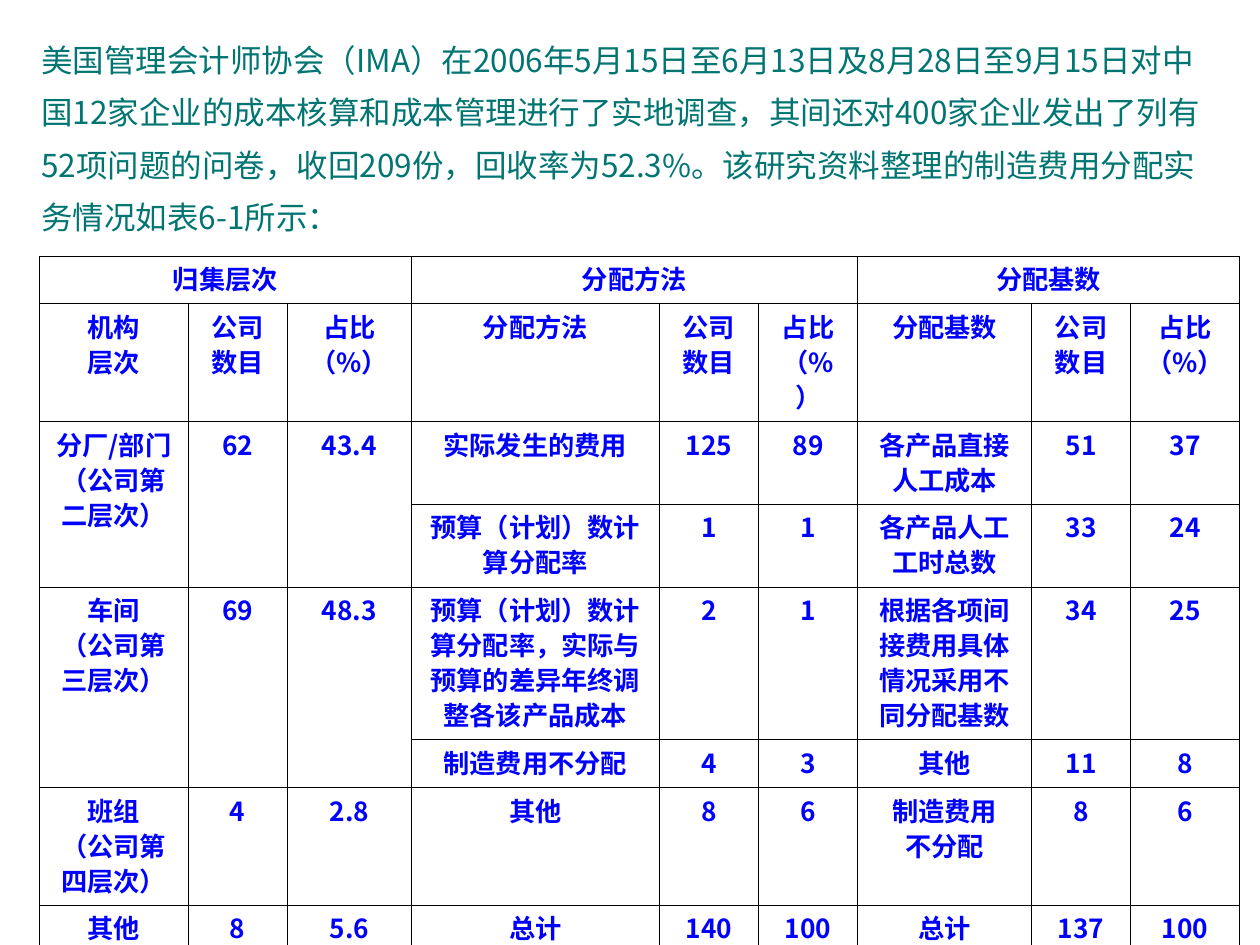
import pptx
import pptx.dml.color
import pptx.enum.text
import pptx.oxml
import pptx.oxml.ns
import pptx.util
from dataclasses import dataclass

Pt = pptx.util.Pt
RGB = pptx.dml.color.RGBColor
ALIGN = pptx.enum.text.PP_ALIGN


@dataclass(frozen=True)
class Theme:
    font: str = "Noto Sans CJK SC"
    intro_color: str = "007572"
    table_color: str = "0000FF"
    border_color: str = "000000"
    border_width: float = 0.45
    intro_size: int = 18
    table_size: int = 15


INTRO = (
    "美国管理会计师协会（IMA）在2006年5月15日至6月13日及8月28日至9月15日"
    "对中国12家企业的成本核算和成本管理进行了实地调查，其间还对400家企业"
    "发出了列有52项问题的问卷，收回209份，回收率为52.3%。"
    "该研究资料整理的制造费用分配实务情况如表6-1所示："
)

# LEFT continues the cell to the left, UP continues the cell above
LEFT, UP = "<", "^"
COUNT, SHARE = "公司数目", "占比\n（%）"
SURVEY = [
    ["归集层次", LEFT, LEFT, "分配方法", LEFT, LEFT, "分配基数", LEFT, LEFT],
    ["机构\n层次", COUNT, SHARE, "分配方法", COUNT, SHARE, "分配基数", COUNT, SHARE],
    ["分厂/部门（公司第二层次）", "62", "43.4", "实际发生的费用", "125", "89",
     "各产品直接人工成本", "51", "37"],
    [UP, UP, UP, "预算（计划）数计算分配率", "1", "1", "各产品人工工时总数", "33", "24"],
    ["车间\n（公司第三层次）", "69", "48.3",
     "预算（计划）数计算分配率，实际与预算的差异年终调整各该产品成本", "2", "1",
     "根据各项间接费用具体情况采用不同分配基数", "34", "25"],
    [UP, UP, UP, "制造费用不分配", "4", "3", "其他", "11", "8"],
    ["班组\n（公司第四层次）", "4", "2.8", "其他", "8", "6", "制造费用\n不分配", "8", "6"],
    ["其他", "8", "5.6", "总计", "140", "100", "总计", "137", "100"],
]
COLUMN_WIDTHS = [85, 56.7, 70.8, 141.8, 56.7, 56.7, 99.3, 56.7, 62.2]
ROW_HEIGHTS = [27.2, 67.2, 47.3, 47.3, 87.2, 27.2, 67.2, 27.2]


class SlideBuilder:
    def __init__(self, slide, theme):
        self.slide = slide
        self.theme = theme

    def fill_text(self, frame, text, size, color, spacing, align, bold=False):
        """Fill a text frame, one paragraph per line of text."""
        frame.text = text
        frame.word_wrap = True
        paragraph_format = {"alignment": align, "line_spacing": Pt(spacing)}
        run_format = {"size": Pt(size), "name": self.theme.font, "bold": bold}
        for paragraph in frame.paragraphs:
            for name, value in paragraph_format.items():
                setattr(paragraph, name, value)
            for run in paragraph.runs:
                run.font.color.rgb = RGB.from_string(color)
                for name, value in run_format.items():
                    setattr(run.font, name, value)
                east_asian = pptx.oxml.parse_xml(
                    f'<a:ea {pptx.oxml.ns.nsdecls("a")} typeface="{self.theme.font}"/>')
                run.font._element.append(east_asian)

    def intro(self, text, left, top, width, height):
        box = self.slide.shapes.add_textbox(Pt(left), Pt(top), Pt(width), Pt(height))
        self.fill_text(box.text_frame, text, self.theme.intro_size,
                       self.theme.intro_color, 30, ALIGN.LEFT)

    def border(self, cell):
        """Draw all four edges of a cell."""
        properties = cell._tc.get_or_add_tcPr()
        for index, edge in enumerate(("lnL", "lnR", "lnT", "lnB")):
            properties.insert(index, pptx.oxml.parse_xml(
                f'<a:{edge} {pptx.oxml.ns.nsdecls("a")} w="{Pt(self.theme.border_width)}">'
                f'<a:solidFill><a:srgbClr val="{self.theme.border_color}"/></a:solidFill>'
                f'</a:{edge}>'))

    def table(self, rows, widths, heights, left, top):
        table = self.slide.shapes.add_table(
            len(rows), len(widths), Pt(left), Pt(top),
            Pt(sum(widths)), Pt(sum(heights))).table
        for name, value in {"first_row": False, "horz_banding": False}.items():
            setattr(table, name, value)
        for column, width in zip(table.columns, widths):
            column.width = Pt(width)
        for row, height in zip(table.rows, heights):
            row.height = Pt(height)

        for r, row in enumerate(rows):
            for c, text in enumerate(row):
                cell = table.cell(r, c)
                cell.fill.background()
                self.border(cell)
                if text in (LEFT, UP):
                    continue
                self.fill_text(cell.text_frame, text, self.theme.table_size,
                               self.theme.table_color, 20, ALIGN.CENTER, bold=True)
                # Extend the cell over its continuation marks
                right, bottom = c, r
                while right + 1 < len(row) and row[right + 1] == LEFT:
                    right += 1
                while bottom + 1 < len(rows) and rows[bottom + 1][c] == UP:
                    bottom += 1
                if (right, bottom) != (c, r):
                    cell.merge(table.cell(bottom, right))


def main():
    deck = pptx.Presentation()
    deck.slide_width, deck.slide_height = Pt(720), Pt(540)
    blank_layout = deck.slide_layouts[6]
    builder = SlideBuilder(deck.slides.add_slide(blank_layout), Theme())

    # Survey background
    builder.intro(INTRO, 16.5, 11.5, 686, 127.5)

    # Table 6-1
    builder.table(SURVEY, COLUMN_WIDTHS, ROW_HEIGHTS, 22.5, 146.3)

    deck.save("out.pptx")


if __name__ == "__main__":
    main()
